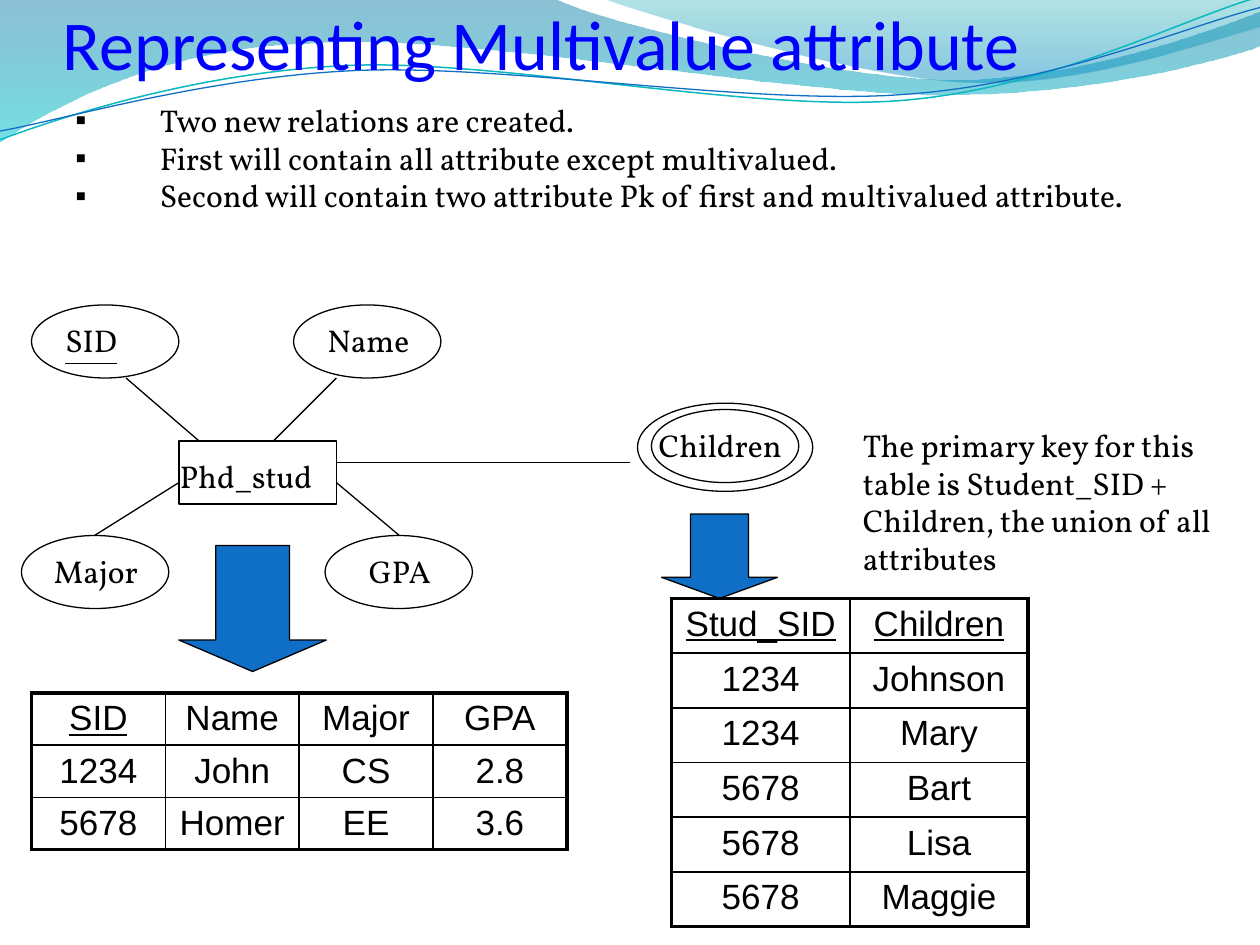
import lxml.etree
import pptx
import pptx.dml.color
import pptx.enum.shapes
import pptx.enum.text
import pptx.oxml.ns
import pptx.util
from pptx.util import Inches

COLORS = {"text": "000000", "title": "0000FF", "arrow": "0F6FC6", "paper": "FFFFFF",
          "teal": "0AB8BF", "blue": "0F6FC6"}
SERIF, SANS = "Vollkorn", "Arial"
SHAPES = pptx.enum.shapes.MSO_SHAPE
CENTER = pptx.enum.text.PP_ALIGN.CENTER

TITLE = "Representing Multivalue attribute"
POINTS = ["Two new relations are created. ",
          "First will contain all attribute except multivalued. ",
          "Second will contain two attribute Pk of first and multivalued attribute."]
KEY_NOTE = ("The primary key for this table is Student_SID + Children, "
            "the union of all attributes")

# A path is a list of nodes: 2 numbers for a line, 6 for a Bezier curve.
# Gradient stops: position, colour, opacity in percent.
WAVE_FILLS = [
    ([(0, 0), (4.4, -.01), (4.76, .17, 6.64, .63, 7.58, .63), (8.53, .63, 9.58, .26, 10, .09),
      (10.01, .36), (9.83, .44, 8.7, .76, 7.46, .75), (6.22, .75, 3.82, .28, 2.57, .34),
      (1.29, .36, .46, .83, -.01, 1.13)],
     [(0, "0074A1", 45), (1, "00C6CF", 55)]),
    ([(4.79, -.01), (5.09, .11, 6.82, .62, 7.69, .65), (8.56, .69, 9.61, .32, 10, .21), (10, 0)],
     [(0, "00A1A9", 30), (.8, "008BBF", 45)]),
]
WAVE_LINES = [
    ([(0, 1.11), (.48, .93, 1.58, .57, 2.77, .52), (3.95, .47, 5.93, .89, 7.13, .8),
      (8.33, .71, 9.38, .15, 9.98, -.02)], "teal", .85),
    ([(0, 1.04), (.47, .96, 1.64, .61, 2.83, .56), (4.03, .51, 5.97, .84, 7.17, .75),
      (8.36, .67, 9.41, .21, 10, .06)], "blue", .75),
]

# Ellipse left and top; label text, left, top, width, underline
ATTRIBUTES = [
    ((.25, 2.42), ("SID", .42, 2.5, .83, True)),
    ((2.33, 2.42), ("Name", 2.5, 2.5, .92, False)),
    ((.17, 4.25), ("Major", .33, 4.33, .92, False)),
    ((2.58, 4.25), ("GPA", 2.83, 4.33, .75, False)),
    ((5.17, 3.25), (" Children", 5.08, 3.33, 1.33, False)),
]
LINKS = [(1, 3, 1.58, 3.5), (2.67, 3, 2.17, 3.5), (3.17, 4.25, 2.67, 3.83),
         (.75, 4.25, 1.42, 3.83), (5, 3.67, 2.67, 3.67)]
ARROWS = [(1.42, 4.33, 1.17, 1), (5.25, 4.08, .92, .67)]

# Left, top, width, row height, bottom cell margin, number of key columns, rows
TABLES = [
    (.25, 5.5, 4.25, .41, .03, 1,
     [("SID", "Name", "Major", "GPA"), ("1234", "John", "CS", "2.8"),
      ("5678", "Homer", "EE", "3.6")]),
    (5.33, 4.75, 2.83, .43, .05, 2,
     [("Stud_SID", "Children"), ("1234", "Johnson"), ("1234", "Mary"),
      ("5678", "Bart"), ("5678", "Lisa"), ("5678", "Maggie")]),
]


def rgb(value):
    """Return a colour from a name in COLORS or a hex string."""
    return pptx.dml.color.RGBColor.from_string(COLORS.get(value, value))


def sub(parent, tag, **attributes):
    """Append a DrawingML element."""
    return lxml.etree.SubElement(parent, pptx.oxml.ns.qn(tag), **attributes)


def write(frame, text, size=18, font=SERIF, color="text", underline=False, align=None,
          bullet=None):
    """Fill a text frame with one paragraph per line of text."""
    for index, line in enumerate(text.split("\n")):
        paragraph = frame.paragraphs[0] if index == 0 else frame.add_paragraph()
        paragraph.alignment = align
        if bullet:
            properties = paragraph._p.get_or_add_pPr()
            properties.set("marL", str(Inches(.67)))
            properties.set("indent", str(-Inches(.67)))
            sub(properties, "a:buFont", typeface=SANS)
            sub(properties, "a:buChar", char=bullet)
        run = paragraph.add_run()
        run.text = line
        run.font.size = pptx.util.Pt(size)
        run.font.name = font
        run.font.underline = underline
        run.font.color.rgb = rgb(color)


def add_text(slide, box, text, **style):
    """Add a wrapping text box and return its frame."""
    frame = slide.shapes.add_textbox(*map(Inches, box)).text_frame
    frame.word_wrap = True
    write(frame, text, **style)
    return frame


def add_outline(slide, kind, box, fill=None):
    """Add a preset shape with a thin black outline."""
    shape = slide.shapes.add_shape(kind, *map(Inches, box))
    shape.shadow.inherit = False
    if fill:
        shape.fill.solid()
        shape.fill.fore_color.rgb = rgb(fill)
    else:
        shape.fill.background()
    shape.line.color.rgb = rgb("text")
    shape.line.width = pptx.util.Pt(.75)
    return shape


def add_link(slide, x1, y1, x2, y2):
    """Add a straight line between two points."""
    line = slide.shapes.add_connector(pptx.enum.shapes.MSO_CONNECTOR.STRAIGHT,
                                      *map(Inches, (x1, y1, x2, y2)))
    line.line.color.rgb = rgb("text")
    line.line.width = pptx.util.Pt(.75)
    sub(line._element.spPr, "a:effectLst")


def add_path(slide, nodes, close):
    """Add a freeform, joining the points of each curve node into one Bezier segment."""
    points = [(Inches(node[i]), Inches(node[i + 1]))
              for node in nodes for i in range(0, len(node), 2)]
    builder = slide.shapes.build_freeform(*points[0])
    builder.add_line_segments(points[1:], close=close)
    shape = builder.convert_to_shape()
    shape.shadow.inherit = False
    segments = iter(list(shape._element.iter(pptx.oxml.ns.qn("a:lnTo"))))
    for node in nodes[1:]:
        group = [next(segments) for _ in range(len(node) // 2)]
        if len(group) == 3:
            curve = sub(group[0].getparent(), "a:cubicBezTo")
            group[0].addprevious(curve)
            for segment in group:
                curve.append(segment[0])
                segment.getparent().remove(segment)
    return shape


def add_waves(slide):
    """Draw the header waves."""
    for nodes, stops in WAVE_FILLS:
        wave = add_path(slide, nodes, True)
        wave.line.fill.background()
        wave.fill.gradient()
        wave.fill.gradient_angle = 270
        for stop, (position, color, opacity) in zip(wave.fill.gradient_stops, stops):
            stop.position = position
            stop.color.rgb = rgb(color)
            color_element = stop._gs.find(pptx.oxml.ns.qn("a:srgbClr"))
            sub(color_element, "a:alpha", val=str(opacity * 1000))
    for nodes, color, width in WAVE_LINES:
        wave = add_path(slide, nodes, False)
        wave.fill.background()
        wave.line.color.rgb = rgb(color)
        wave.line.width = pptx.util.Pt(width)


def set_borders(cell, widths):
    """Set the left, right, top and bottom border widths of a cell."""
    properties = cell._tc.get_or_add_tcPr()
    for index, (side, width) in enumerate(zip("LRTB", widths)):
        line = sub(properties, "a:ln" + side, w=str(pptx.util.Pt(width)))
        sub(sub(line, "a:solidFill"), "a:srgbClr", val=COLORS["text"])
        properties.insert(index, line)


def add_relation(slide, left, top, width, row_height, margin, keys, rows):
    """Add a relation table with a thick frame and underlined keys."""
    row_count, column_count = len(rows), len(rows[0])
    table = slide.shapes.add_table(row_count, column_count, Inches(left), Inches(top),
                                   Inches(width), Inches(row_height * row_count)).table
    table.first_row = table.horz_banding = False
    for r, row in enumerate(rows):
        for c, text in enumerate(row):
            cell = table.cell(r, c)
            cell.margin_bottom = Inches(margin)
            cell.fill.solid()
            cell.fill.fore_color.rgb = rgb("paper")
            write(cell.text_frame, text, size=20, font=SANS, align=CENTER,
                  underline=r == 0 and c < keys)
            outer = (c == 0, c == column_count - 1, r == 0, r == row_count - 1)
            set_borders(cell, [2.25 if edge else 1 for edge in outer])


def main():
    """Build and save the slide."""
    presentation = pptx.Presentation()
    presentation.slide_width, presentation.slide_height = Inches(10), Inches(7.5)
    slide = presentation.slides.add_slide(presentation.slide_layouts[6])
    add_waves(slide)
    title = add_text(slide, (.5, .17, 8, .5), TITLE, size=40, font="Calibri", color="title")
    title.vertical_anchor = pptx.enum.text.MSO_ANCHOR.BOTTOM
    title.margin_left = title.margin_right = title.margin_bottom = 0

    add_outline(slide, SHAPES.RECTANGLE, (1.42, 3.5, 1.25, .5))
    add_text(slide, (1.33, 3.58, 1.42, .4), "Phd_stud")
    add_outline(slide, SHAPES.OVAL, (5.06, 3.2, 1.39, .7))
    for corner, (text, left, top, width, underline) in ATTRIBUTES:
        add_outline(slide, SHAPES.OVAL, (*corner, 1.17, .58))
        add_text(slide, (left, top, width, .4), text, underline=underline)
    for link in LINKS:
        add_link(slide, *link)
    for box in ARROWS:
        arrow = add_outline(slide, SHAPES.DOWN_ARROW, box, fill="arrow")
        arrow.adjustments[0], arrow.adjustments[1] = .5, .25
    for relation in TABLES:
        add_relation(slide, *relation)
    add_text(slide, (6.75, 3.33, 3, 1.3), KEY_NOTE)
    add_text(slide, (.5, .75, 8.83, 1.01), "\n".join(POINTS), bullet="▪")
    presentation.save("out.pptx")


main()
